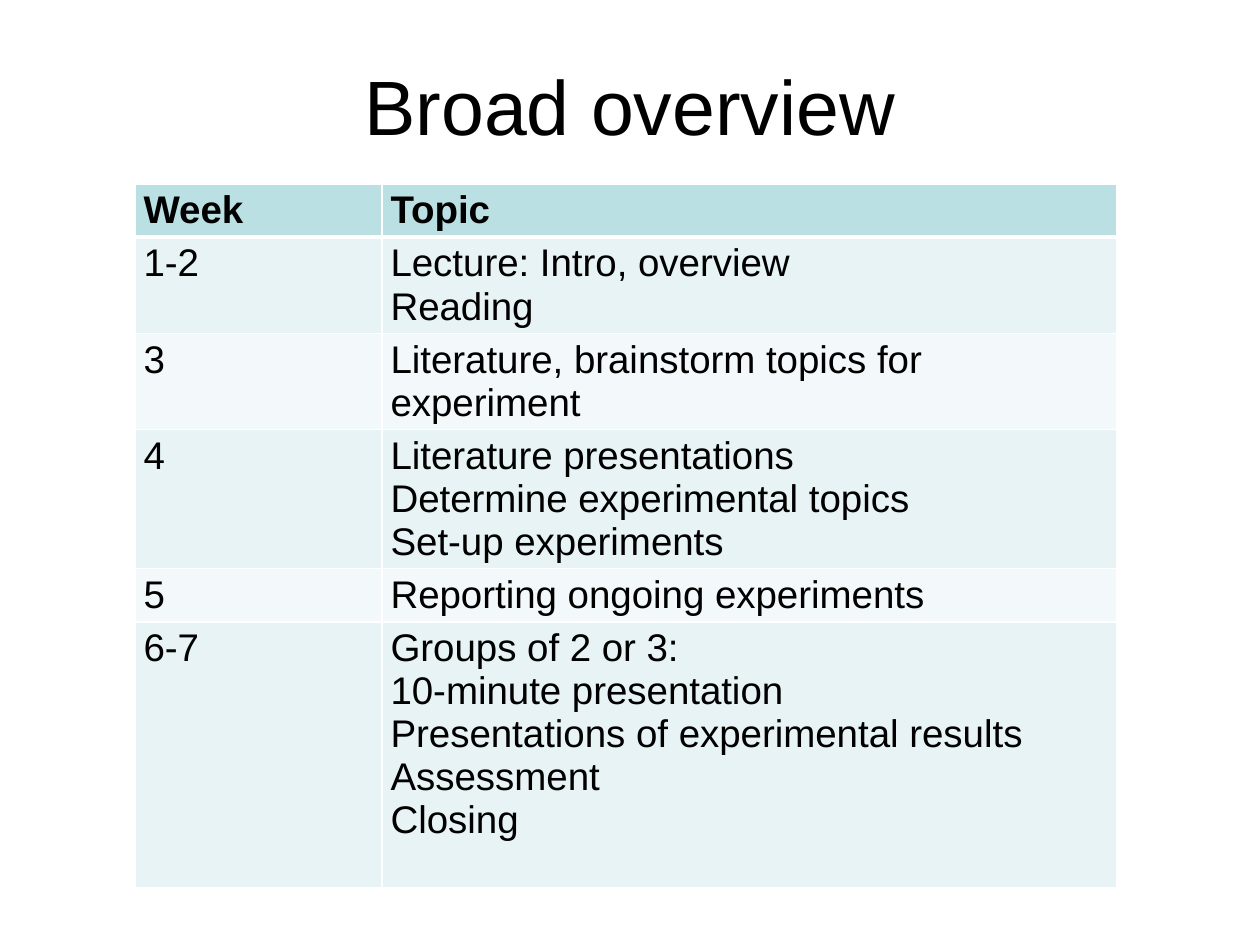
from lxml.etree import SubElement
from pptx import Presentation
from pptx.dml.color import RGBColor
from pptx.enum.text import MSO_ANCHOR as Anchor, PP_ALIGN as Align
from pptx.oxml.ns import qn
from pptx.util import Inches, Pt

COLUMN_WIDTHS = [1.96, 5.83]
ROW_HEIGHTS = [0.41, 0.76, 0.76, 1.1, 0.42, 2.11]
SCHEDULE = [
    ("Week", ["Topic"]),
    ("1-2", ["Lecture: Intro, overview\nReading"]),
    ("3", ["Literature, brainstorm topics for experiment"]),
    ("4", ["Literature presentations", "Determine experimental topics", "Set-up experiments"]),
    ("5", ["Reporting ongoing experiments"]),
    ("6-7", ["Groups of 2 or 3:\n10-minute presentation",
             "Presentations of experimental results", "Assessment", "Closing"]),
]


def color(value):
    return RGBColor.from_string(value)


def write_text(frame, paragraphs, *, size, font="Arial", fill="000000", bold=False, align=Align.LEFT):
    for index, text in enumerate(paragraphs):
        paragraph = frame.paragraphs[0] if index == 0 else frame.add_paragraph()
        paragraph.text = text
        paragraph.alignment = align
        for run in paragraph.runs:
            run.font.name = font
            run.font.size = Pt(size)
            run.font.bold = bold
            run.font.color.rgb = color(fill)


class SlideBuilder:
    """Builds the elements of one slide in a shared style."""

    header_fill = "BBE0E3"
    band_fills = ("F3F9FA", "E7F3F4")
    border_color = "FFFFFF"

    def __init__(self, presentation):
        self.slide = presentation.slides.add_slide(presentation.slide_layouts[5])
        self.slide.background.fill.solid()
        self.slide.background.fill.fore_color.rgb = color("FFFFFF")

    def title(self, text, left, top, width, height):
        shape = self.slide.shapes.title
        shape.left, shape.top = Inches(left), Inches(top)
        shape.width, shape.height = Inches(width), Inches(height)
        shape.text_frame.vertical_anchor = Anchor.MIDDLE
        write_text(shape.text_frame, [text], size=44, align=Align.CENTER)

    def borders(self, cell, widths):
        properties = cell._tc.get_or_add_tcPr()
        for side, width in zip("LRTB", widths):
            line = SubElement(properties, qn(f"a:ln{side}"), w=str(Pt(width)))
            fill = SubElement(line, qn("a:solidFill"))
            SubElement(fill, qn("a:srgbClr"), val=self.border_color)

    def cell(self, cell, paragraphs, row):
        header = row == 0
        self.borders(cell, (1, 1, 3 if row == 1 else 1, 3 if header else 1))
        cell.fill.solid()
        cell.fill.fore_color.rgb = color(self.header_fill if header else self.band_fills[row % 2])
        cell.margin_left = cell.margin_right = Inches(0.07)
        cell.margin_top = cell.margin_bottom = Inches(0.04)
        write_text(cell.text_frame, paragraphs, size=22, bold=header)

    def table(self, rows, left, top):
        frame = self.slide.shapes.add_table(
            len(rows), len(COLUMN_WIDTHS), Inches(left), Inches(top),
            Inches(sum(COLUMN_WIDTHS)), Inches(sum(ROW_HEIGHTS)))
        table = frame.table
        for column, width in zip(table.columns, COLUMN_WIDTHS):
            column.width = Inches(width)
        for index, (week, topics) in enumerate(rows):
            table.rows[index].height = Inches(ROW_HEIGHTS[index])
            self.cell(table.cell(index, 0), [week], index)
            self.cell(table.cell(index, 1), topics, index)


def main():
    presentation = Presentation()
    presentation.slide_width, presentation.slide_height = Inches(10), Inches(7.5)
    builder = SlideBuilder(presentation)
    builder.title("Broad overview", 0.5, 0.21, 9, 1.25)
    builder.table(SCHEDULE, 1.07, 1.46)
    presentation.save("out.pptx")


if __name__ == "__main__":
    main()
